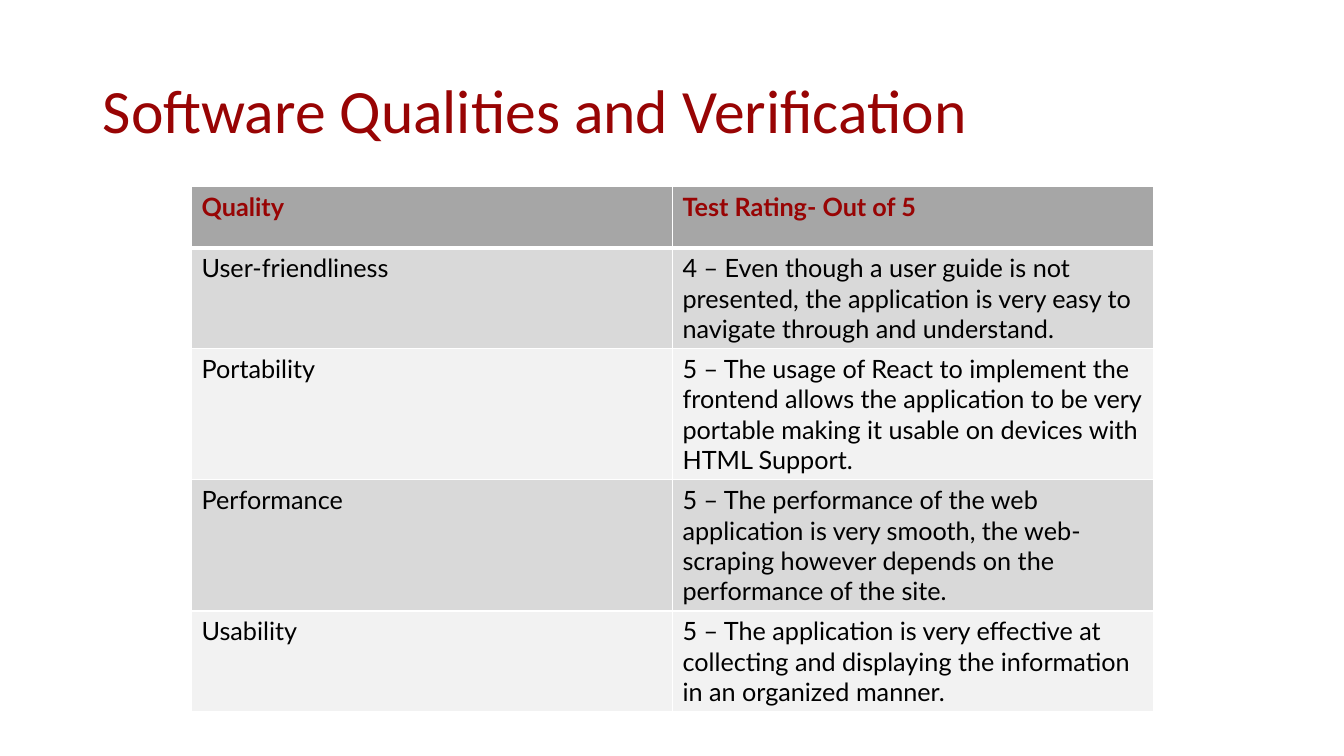
import pptx
import pptx.util
import pptx.dml.color
import pptx.enum.text
import pptx.oxml
import pptx.oxml.ns
from pptx.util import Inches

COLORS = {
    "accent": "980404",
    "text": "000000",
    "header": "A6A6A6",
    "dark_band": "D9D9D9",
    "light_band": "F2F2F2",
    "border": "FFFFFF",
}

QUALITIES = [
    ("Quality", "Test Rating- Out of 5", 0.61),
    ("User-friendliness", "4 – Even though a user guide is not presented, the application "
     "is very easy to navigate through and understand.", 1.0),
    ("Portability", "5 – The usage of React to implement the frontend allows the application "
     "to be very portable making it usable on devices with HTML Support.", 1.3),
    ("Performance", "5 – The performance of the web application is very smooth, the "
     "web-scraping however depends on the performance of the site.", 1.3),
    ("Usability", "5 – The application is very effective at collecting and displaying "
     "the information in an organized manner.", 1.0),
]


def rgb(name):
    return pptx.dml.color.RGBColor.from_string(COLORS[name])


def set_attributes(target, values):
    for name, value in values.items():
        setattr(target, name, value)


def write_text(frame, text, color, font):
    para = frame.paragraphs[0]
    para.alignment = pptx.enum.text.PP_ALIGN.LEFT
    span = para.add_run()
    span.text = text
    set_attributes(span.font, font)
    span.font.color.rgb = rgb(color)
    return para


def set_borders(cell, widths):
    properties = cell._tc.get_or_add_tcPr()
    namespace = pptx.oxml.ns.nsdecls("a")
    for position, (side, width) in enumerate(widths.items()):
        line = pptx.oxml.parse_xml(
            f'<a:{side} {namespace} w="{pptx.util.Pt(width)}"><a:solidFill>'
            f'<a:srgbClr val="{COLORS["border"]}"/></a:solidFill></a:{side}>'
        )
        properties.insert(position, line)


def add_title(page, box, text):
    title = page.shapes.title
    set_attributes(title, dict(zip(("left", "top", "width", "height"), box)))
    title.text_frame.vertical_anchor = pptx.enum.text.MSO_ANCHOR.MIDDLE
    font = {"name": "Calibri", "size": pptx.util.Pt(44)}
    para = write_text(title.text_frame, text, "accent", font)
    para.line_spacing = 0.9


def add_quality_table(page, box, rows):
    table = page.shapes.add_table(len(rows), 2, *box).table
    for column in table.columns:
        column.width = box[2] // 2
    for index, (quality, rating, height) in enumerate(rows):
        header = index == 0
        band = "header" if header else ("light_band", "dark_band")[index % 2]
        table.rows[index].height = Inches(height)
        font = {"name": "Lato", "size": pptx.util.Pt(18), "bold": header}
        top = 3 if index == 1 else 1
        bottom = 3 if header else 1
        for cell, text in zip(table.rows[index].cells, (quality, rating)):
            write_text(cell.text_frame, text, "accent" if header else "text", font)
            cell.fill.solid()
            cell.fill.fore_color.rgb = rgb(band)
            set_borders(cell, {"lnL": 1, "lnR": 1, "lnT": top, "lnB": bottom})


def build_quality_slide(deck):
    page = deck.slides.add_slide(deck.slide_layouts[5])
    title_box = [Inches(value) for value in (0.92, 0.4, 11.5, 1.45)]
    table_box = [Inches(value) for value in (1.9, 1.85, 9.54, 5.21)]
    add_title(page, title_box, "Software Qualities and Verification")
    add_quality_table(page, table_box, QUALITIES)


deck = pptx.Presentation()
set_attributes(deck, {"slide_width": Inches(13.33), "slide_height": Inches(7.5)})
build_quality_slide(deck)
deck.save("out.pptx")
